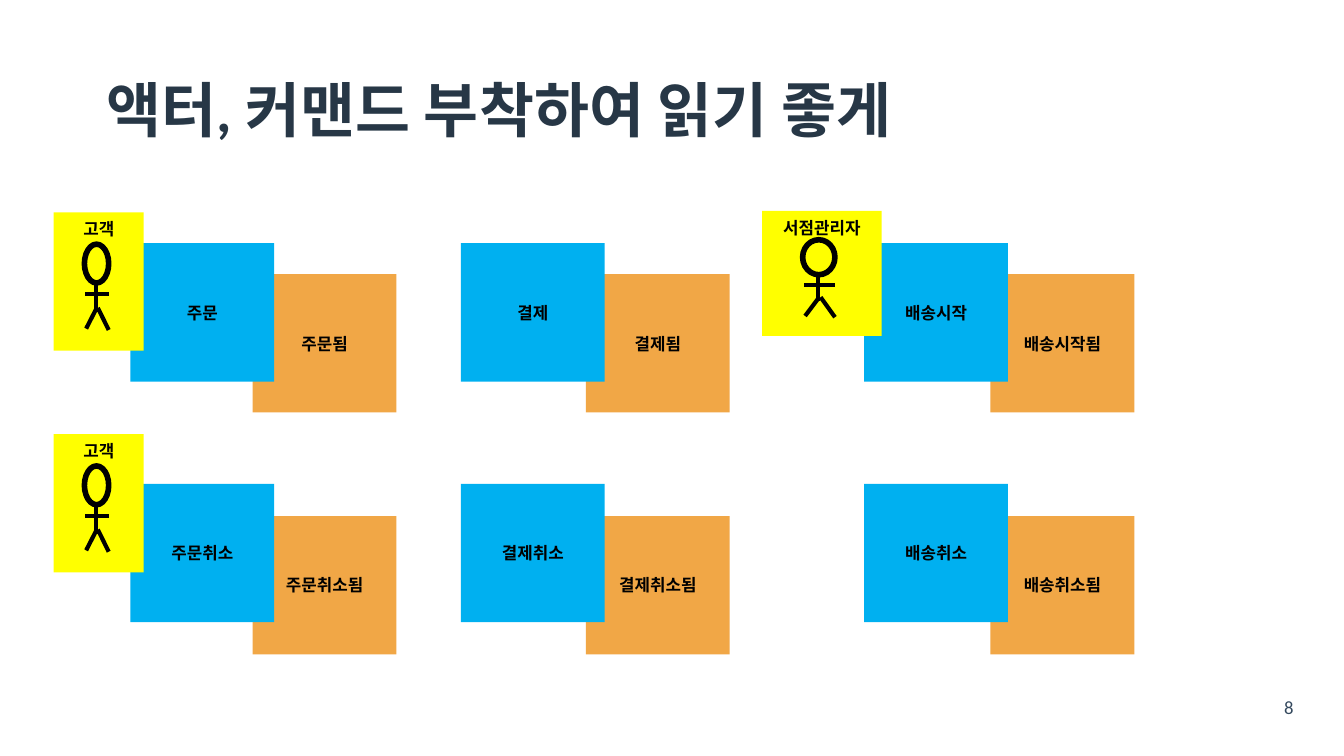
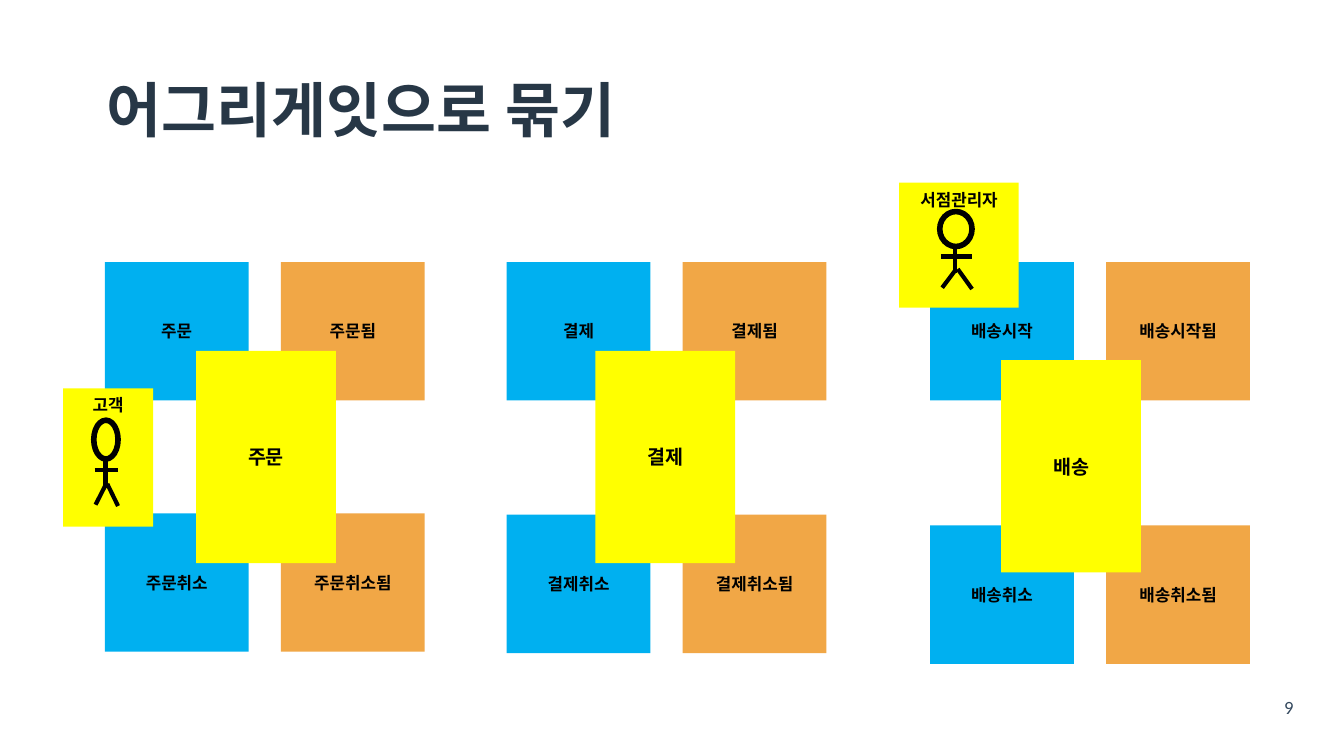
import lxml.etree
import pptx
import pptx.dml.color
import pptx.enum.shapes
import pptx.enum.text
import pptx.oxml.ns
import pptx.util

Inches = pptx.util.Inches
SHAPE = pptx.enum.shapes.MSO_SHAPE
ALIGN = pptx.enum.text.PP_ALIGN
ANCHOR = pptx.enum.text.MSO_ANCHOR
FIT = pptx.enum.text.MSO_AUTO_SIZE

HUES = {
    "title": "273746",
    "number": "34495E",
    "event": "F1A746",
    "command": "00B0F0",
    "yellow": "FFFF00",
    "black": "000000",
}
LATIN = "Calibri"
HANGUL = "Noto Sans CJK KR"
NOTE = (1.07, 1.03)
ROOT = (1.04, 1.58)
ACTORS = {"고객": (0.67, 1.03), "서점관리자": (0.89, 0.93)}

# Stick figure, as fractions of the actor note
HEAD = (0.34, 0.23, 0.27, 0.28)
LIMBS = [
    (0.35, 0.59, 0.61, 0.59),
    (0.47, 0.52, 0.47, 0.72),
    (0.47, 0.7, 0.36, 0.84),
    (0.49, 0.69, 0.61, 0.85),
]

# Command left, event shift, rows of (command, event, actor, actor shift)
FLOWS = [
    (0.97, 0.91, [("주문", "주문됨", "고객", (-0.57, -0.23)),
                  ("주문취소", "주문취소됨", "고객", (-0.57, -0.37))]),
    (3.43, 0.93, [("결제", "결제됨", None, None),
                  ("결제취소", "결제취소됨", None, None)]),
    (6.43, 0.94, [("배송시작", "배송시작됨", "서점관리자", (-0.76, -0.24)),
                  ("배송취소", "배송취소됨", None, None)]),
]
FLOW_TOPS = [1.81, 3.6]
DROPS = [0.23, 0.24]

# Left, row step, root name, root shift, actor, actor shift
GROUPS = [
    (0.78, 1.87, "주문", (0.68, 0.66), "고객", (-0.31, 0.94)),
    (3.77, 1.88, "결제", (0.66, 0.66), None, None),
    (6.92, 1.96, "배송", (0.53, 0.73), "서점관리자", (-0.23, -0.59)),
]
GROUP_TOP = 1.95
GROUP_STEP = 1.31


def tint(name):
    return pptx.dml.color.RGBColor.from_string(HUES[name])


def write(frame, text, size=9, face=HANGUL, hue="black", bold=True,
          align=ALIGN.CENTER, anchor=ANCHOR.MIDDLE, lead=None):
    frame.word_wrap = True
    frame.vertical_anchor = anchor
    para = frame.paragraphs[0]
    para.alignment = align
    if lead:
        para.line_spacing = lead
    run = para.add_run()
    run.text = text
    run.font.size = pptx.util.Pt(size)
    run.font.name = face
    run.font.bold = bold
    run.font.color.rgb = tint(hue)
    east = lxml.etree.SubElement(
        run._r.get_or_add_rPr(), pptx.oxml.ns.qn("a:ea"))
    east.set("typeface", face)


def add_note(shapes, text, hue, left, top, extent=NOTE, **form):
    note = shapes.add_shape(
        SHAPE.RECTANGLE, *map(Inches, (left, top, *extent)))
    note.shadow.inherit = False
    note.fill.solid()
    note.fill.fore_color.rgb = tint(hue)
    note.line.fill.background()
    write(note.text_frame, text, **form)


def add_limb(shapes, *ends):
    limb = shapes.add_connector(
        pptx.enum.shapes.MSO_CONNECTOR.STRAIGHT, *map(Inches, ends))
    limb.line.color.rgb = tint("black")
    limb.line.width = pptx.util.Pt(2.25)
    lxml.etree.SubElement(limb._element.spPr, pptx.oxml.ns.qn("a:effectLst"))


def add_actor(shapes, name, left, top):
    """Draw a named note with a stick figure scaled to it."""
    wide, high = ACTORS[name]
    parts = shapes.add_group_shape().shapes
    add_note(parts, name, "yellow", left, top, (wide, high), anchor=ANCHOR.TOP)
    x, y, w, h = HEAD
    head = parts.add_shape(
        SHAPE.OVAL, Inches(left + x * wide), Inches(top + y * high),
        Inches(w * wide), Inches(h * high))
    head.shadow.inherit = False
    head.fill.background()
    head.line.color.rgb = tint("black")
    head.line.width = pptx.util.Pt(3)
    for x1, y1, x2, y2 in LIMBS:
        add_limb(parts, left + x1 * wide, top + y1 * high,
                 left + x2 * wide, top + y2 * high)


def add_page(deck, title, number):
    """Add a slide with its title and number, and return its shapes."""
    page = deck.slides.add_slide(deck.slide_layouts[5])
    head = page.shapes.title
    head.left, head.top, head.width, head.height = map(
        Inches, (0.69, 0.3, 8.62, 1.09))
    head.text_frame.auto_size = FIT.NONE
    write(head.text_frame, title, size=32, face=LATIN, hue="title",
          align=ALIGN.LEFT, lead=0.9)
    box = page.shapes.add_textbox(*map(Inches, (9.31, 5.21, 0.56, 0.26)))
    frame = box.text_frame
    frame.margin_left = frame.margin_right = Inches(0.15)
    frame.margin_top = frame.margin_bottom = Inches(0.07)
    frame.auto_size = FIT.SHAPE_TO_FIT_TEXT
    write(frame, str(number), size=10, face=LATIN, hue="number", bold=False,
          anchor=ANCHOR.TOP, lead=0.5)
    return page.shapes


def add_flow(shapes, left, top, shift, drop, row):
    """Stack a command over its event, with any actor on top."""
    command, event, actor, move = row
    add_note(shapes, event, "event", left + shift, top + drop)
    add_note(shapes, command, "command", left, top)
    if actor:
        add_actor(shapes, actor, left + move[0], top + move[1])


def add_group(shapes, rows, left, step, root, shift, actor, move):
    """Set commands and events in two rows around their aggregate."""
    parts = shapes.add_group_shape().shapes
    for i, (command, event, *_) in enumerate(rows):
        top = GROUP_TOP + i * step
        add_note(parts, event, "event", left + GROUP_STEP, top)
        add_note(parts, command, "command", left, top)
    if actor:
        add_actor(parts, actor, left + move[0], GROUP_TOP + move[1])
    add_note(parts, root, "yellow", left + shift[0], GROUP_TOP + shift[1],
             ROOT, size=10.5)


def flow_slide(deck):
    shapes = add_page(deck, "액터, 커맨드 부착하여 읽기 좋게", 8)
    for left, shift, rows in FLOWS:
        for top, drop, row in zip(FLOW_TOPS, DROPS, rows):
            add_flow(shapes, left, top, shift, drop, row)


def group_slide(deck):
    shapes = add_page(deck, "어그리게잇으로 묶기", 9)
    for group, (_, _, rows) in zip(GROUPS, FLOWS):
        add_group(shapes, rows, *group)


def main():
    deck = pptx.Presentation()
    deck.slide_width = Inches(10)
    deck.slide_height = deck.slide_width * 9 // 16
    flow_slide(deck)
    group_slide(deck)
    deck.save("out.pptx")


if __name__ == "__main__":
    main()
